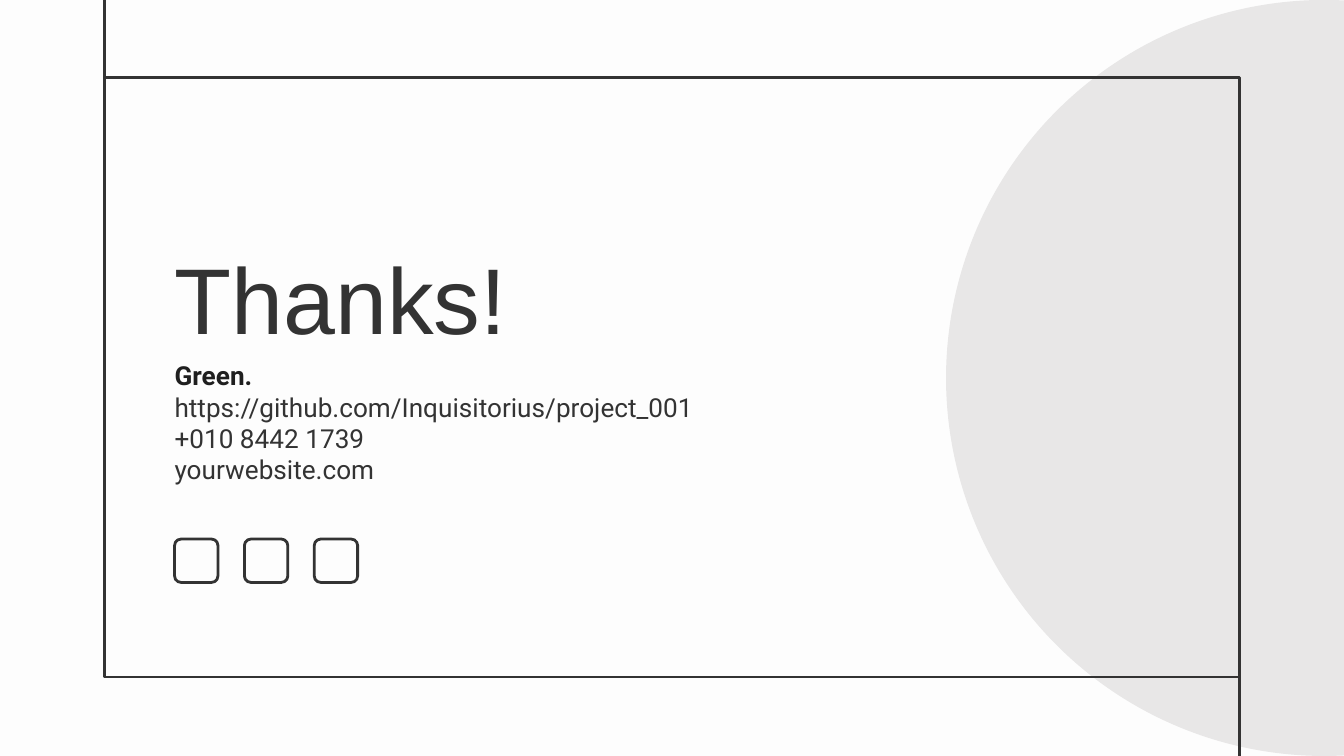
import pptx
import pptx.util
import pptx.dml.color
import pptx.enum.shapes
import pptx.enum.text
import pptx.oxml.ns
from lxml import etree

Cm, Pt = pptx.util.Cm, pptx.util.Pt
MSO = pptx.enum.shapes.MSO_SHAPE
ANCHOR = pptx.enum.text.MSO_ANCHOR

WIDTH, HEIGHT = 25.4, 14.29
INK = "333333"
FRAME = {"left": 1.98, "top": 1.47, "right": 23.42, "bottom": 12.8}
ICONS = {"count": 3, "left": 3.3, "top": 10.19, "size": 0.82, "pitch": 1.32}

TITLE = [("Thanks!", {"size": Pt(50), "name": "Arial"}, INK)]
BODY = {"size": Pt(14), "name": "Roboto"}
CONTACT = [
    ("Green.", {**BODY, "bold": True}, "1F1F1F"),
    ("https://github.com/Inquisitorius/project_001", BODY, INK),
    ("+010 8442 1739", BODY, INK),
    ("yourwebsite.com", BODY, INK),
]
TEXTS = [
    (TITLE, (3.05, 4.14, 12.34, 2.95), ANCHOR.MIDDLE),
    (CONTACT, (3.05, 6.55, 12.34, 3.4), ANCHOR.TOP),
]


def rgb(color):
    return pptx.dml.color.RGBColor.from_string(color)


def set_line(sp):
    sp.line.color.rgb = rgb(INK)
    sp.line.width = Pt(1.5)


def add_shape(s, kind, box, fill=None):
    sp = s.shapes.add_shape(kind, *map(Cm, box))
    sp.shadow.inherit = False
    if fill:
        sp.fill.solid()
        sp.fill.fore_color.rgb = rgb(fill)
        sp.line.fill.background()
    else:
        sp.fill.background()
        set_line(sp)
    return sp


def add_line(s, x, y1, y2):
    straight = pptx.enum.shapes.MSO_CONNECTOR.STRAIGHT
    sp = s.shapes.add_connector(straight, Cm(x), Cm(y1), Cm(x), Cm(y2))
    set_line(sp)
    etree.SubElement(sp._element.spPr, pptx.oxml.ns.qn("a:effectLst"))


def add_text(s, lines, box, anchor):
    tf = s.shapes.add_textbox(*map(Cm, box)).text_frame
    layout = {"word_wrap": True, "vertical_anchor": anchor}
    for side in ("left", "top", "right", "bottom"):
        layout["margin_" + side] = Cm(0.25)
    for key, value in layout.items():
        setattr(tf, key, value)
    for i, (text, font, color) in enumerate(lines):
        p = tf.add_paragraph() if i else tf.paragraphs[0]
        r = p.add_run()
        r.text = text
        for key, value in font.items():
            setattr(r.font, key, value)
        r.font.color.rgb = rgb(color)


def main():
    prs = pptx.Presentation()
    prs.slide_width, prs.slide_height = Cm(WIDTH), Cm(HEIGHT)
    s = prs.slides.add_slide(prs.slide_layouts[6])
    s.background.fill.solid()
    s.background.fill.fore_color.rgb = rgb("FDFDFD")

    add_shape(s, MSO.OVAL, (17.88, 0, HEIGHT, HEIGHT), "E8E7E7")
    left, top, right, bottom = FRAME.values()
    add_shape(s, MSO.RECTANGLE, (left, top, right - left, bottom - top))
    add_line(s, left, top, 0)
    add_line(s, right, bottom, HEIGHT)

    for lines, box, anchor in TEXTS:
        add_text(s, lines, box, anchor)

    size = ICONS["size"]
    for i in range(ICONS["count"]):
        x = ICONS["left"] + i * ICONS["pitch"]
        icon = add_shape(s, MSO.ROUNDED_RECTANGLE, (x, ICONS["top"], size, size))
        icon.adjustments[0] = 0.15

    prs.save("out.pptx")


if __name__ == "__main__":
    main()
